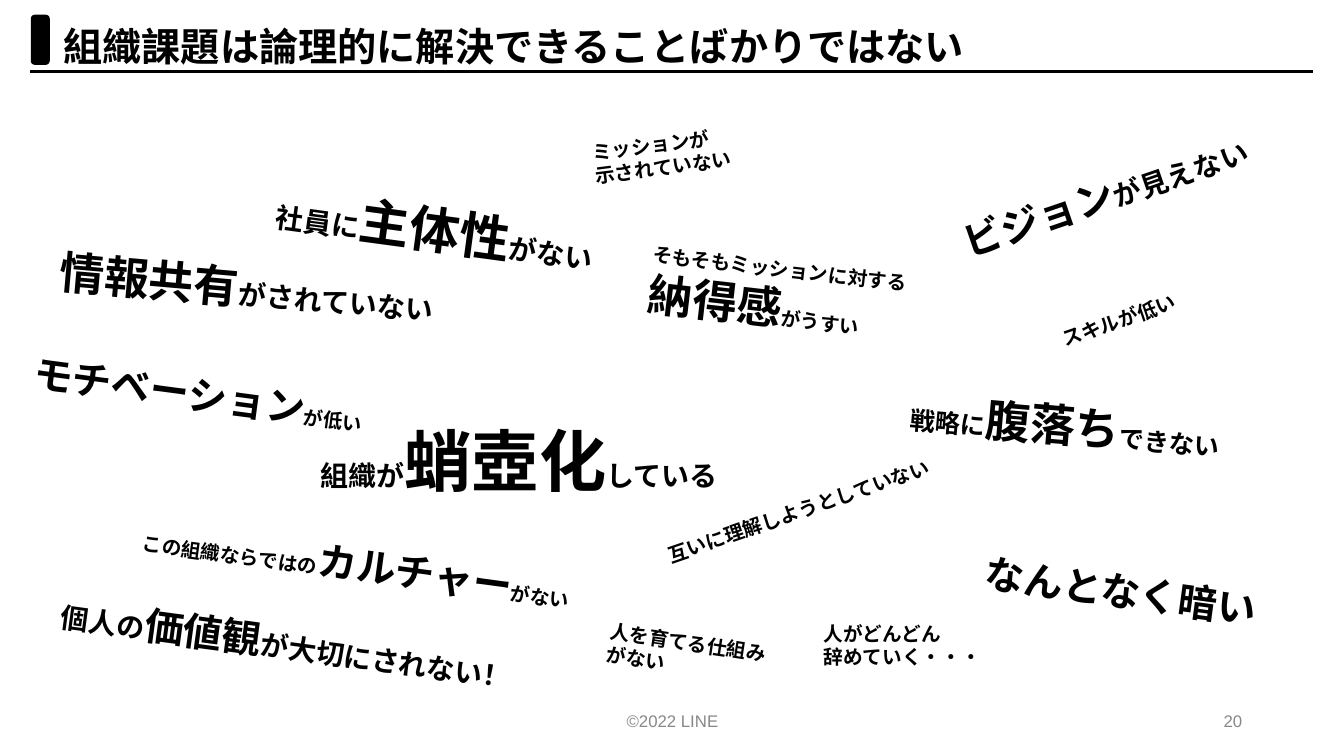
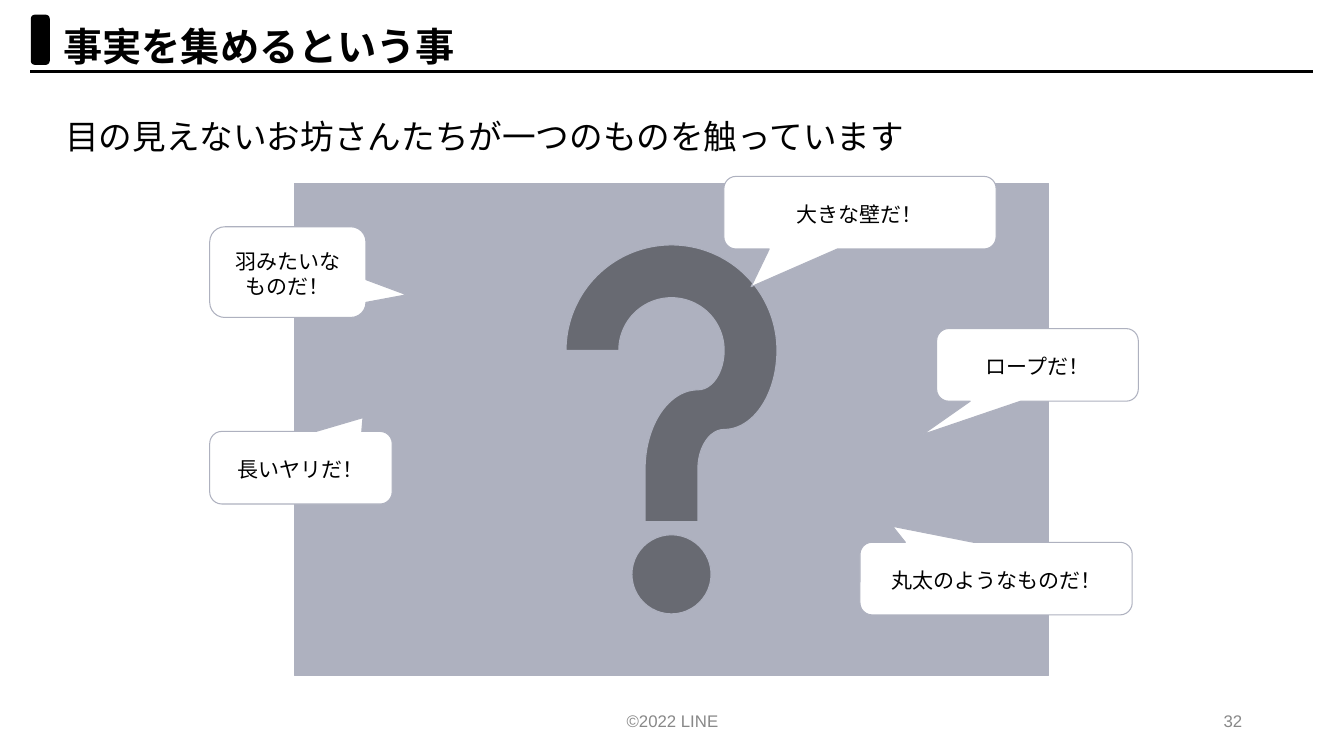
"""Build two slides on facts and feelings in organisations."""
from dataclasses import dataclass

from lxml import etree
from pptx import Presentation
from pptx.dml.color import RGBColor
from pptx.enum import shapes, text
from pptx.oxml import ns
from pptx.util import Inches, Pt

JAPANESE, LATIN = "Noto Sans CJK JP", "Arial"
BLACK, WHITE, GREY, MIST = "000000", "FFFFFF", "888888", "AEB1BF"
LINE_HEIGHT, DROP = 1.2, 0.08
LEFT, CENTER, RIGHT = text.PP_ALIGN.LEFT, text.PP_ALIGN.CENTER, text.PP_ALIGN.RIGHT
TOP, MIDDLE = text.MSO_ANCHOR.TOP, text.MSO_ANCHOR.MIDDLE

Line = tuple[tuple[str, float], ...]


@dataclass(frozen=True)
class Box:
    """Place of an object in inches."""
    left: float
    top: float
    width: float
    height: float

    def lengths(self) -> tuple:
        """Return the four lengths for python-pptx."""
        return tuple(map(Inches, (self.left, self.top, self.width, self.height)))


@dataclass(frozen=True)
class Phrase:
    """Tilted phrase, each line a row of (words, size) pairs."""
    box: Box
    angle: float
    lines: tuple[Line, ...]
    align: text.PP_ALIGN = LEFT


@dataclass(frozen=True)
class Voice:
    """Speech bubble with the offset of its tip."""
    box: Box
    tip: tuple[float, float]
    words: tuple[str, ...]


def color(value: str) -> RGBColor:
    """Turn a hex string into a colour."""
    return RGBColor.from_string(value)


def write(frame, lines: tuple[Line, ...], *, face: str = JAPANESE, ink: str = BLACK,
          bold: bool = False, align=LEFT, anchor=TOP) -> None:
    """Fill a text frame with evenly set lines."""
    frame.word_wrap = True
    frame.auto_size = text.MSO_AUTO_SIZE.NONE
    frame.vertical_anchor = anchor
    frame.margin_left = frame.margin_right = Inches(0.1)
    drop = DROP * max(size for _, size in lines[0]) / 72 if face == JAPANESE else 0
    frame.margin_top = Inches(0.05 + drop)
    frame.margin_bottom = Inches(max(0, 0.05 - drop))
    for index, line in enumerate(lines):
        paragraph = frame.add_paragraph() if index else frame.paragraphs[0]
        paragraph.alignment = align
        largest = max(size for _, size in line)
        if face == JAPANESE:
            paragraph.line_spacing = Pt(LINE_HEIGHT * largest)
        font = paragraph.font
        font.name, font.size, font.bold = face, Pt(largest), bold
        font.color.rgb = color(ink)
        defaults = paragraph._p.pPr.find(ns.qn("a:defRPr"))
        etree.SubElement(defaults, ns.qn("a:ea")).set("typeface", face)
        for words, size in line:
            run = paragraph.add_run()
            run.text = words
            if size != largest:
                run.font.size = Pt(size)


def add_text(slide, box: Box, lines: tuple[Line, ...], angle: float = 0, **style) -> None:
    """Add a text box."""
    area = slide.shapes.add_textbox(*box.lengths())
    area.rotation = angle
    write(area.text_frame, lines, **style)


def add_shape(slide, kind, box: Box, fill: str, outline: str, weight: float):
    """Add a flat preset shape."""
    shape = slide.shapes.add_shape(kind, *box.lengths())
    shape.shadow.inherit = False
    shape.fill.solid()
    shape.fill.fore_color.rgb = color(fill)
    shape.line.color.rgb = color(outline)
    shape.line.width = Pt(weight)
    return shape


def add_slide(deck, title: str, number: int):
    """Add a slide with its title, rule, marker and footer."""
    slide = deck.slides.add_slide(deck.slide_layouts[5])
    heading = slide.shapes.title
    heading.left, heading.top, heading.width, heading.height = Box(0.53, 0.14, 9.51, 0.57).lengths()
    write(heading.text_frame, (((title, 28),),), bold=True)
    rule = slide.shapes.add_connector(shapes.MSO_CONNECTOR.STRAIGHT, Inches(0.3), Inches(0.71),
                                      Inches(13.02), Inches(0.71))
    rule.line.color.rgb = color(BLACK)
    rule.line.width = Pt(2)
    etree.SubElement(rule._element.spPr, ns.qn("a:effectLst"))
    add_shape(slide, shapes.MSO_SHAPE.ROUNDED_RECTANGLE, Box(0.32, 0.16, 0.16, 0.47), BLACK, BLACK, 2)
    for left, width, words, align in ((4.42, 4.5, "©2022 LINE", CENTER), (9.42, 3, str(number), RIGHT)):
        add_text(slide, Box(left, 6.95, width, 0.4), (((words, 12),),),
                 face=LATIN, ink=GREY, align=align, anchor=MIDDLE)
    return slide


def add_voice(slide, voice: Voice) -> None:
    """Add a speech bubble."""
    bubble = add_shape(slide, shapes.MSO_SHAPE.ROUNDED_RECTANGULAR_CALLOUT, voice.box, WHITE, MIST, 0.75)
    bubble.adjustments[0], bubble.adjustments[1] = voice.tip
    write(bubble.text_frame, tuple(((words, 15),) for words in voice.words), align=CENTER, anchor=MIDDLE)


PHRASES = (
    Phrase(Box(5.79, 1.22, 1.95, 0.71), -7.2, ((("ミッションが", 14),), (("示されていない", 14),))),
    Phrase(Box(10.41, 2.93, 1.76, 0.4), -18.9, ((("スキルが低い", 14),),)),
    Phrase(Box(9.37, 1.56, 3.53, 0.57), -18.9, ((("ビジョン", 28), ("が見えない", 20)),)),
    Phrase(Box(2.55, 1.88, 3.55, 0.71), 7.7, ((("社員に", 20), ("主体性", 36), ("がない", 20)),), CENTER),
    Phrase(Box(1.31, 5.3, 4.73, 0.57), 7.7,
           ((("この組織ならではの", 14), ("カルチャー", 28), ("がない", 14)),)),
    Phrase(Box(0.49, 2.57, 5.61, 0.64), 5, ((("情報共有", 32), ("がされていない", 20)),)),
    Phrase(Box(9.67, 5.57, 3.25, 0.57), 7.7, ((("なんとなく暗い", 28),),)),
    Phrase(Box(6.45, 4.85, 3.14, 0.34), -19.1, ((("互いに理解しようとしていない", 14),),)),
    Phrase(Box(5.92, 6.19, 1.79, 0.71), 8.7, ((("人を育てる仕組みがない", 14),),)),
    Phrase(Box(0.49, 6.18, 6.44, 0.57), 7.7,
           ((("個人の", 20), ("価値観", 28), ("が大切にされない！", 20)),)),
    Phrase(Box(6.34, 2.49, 2.88, 0.88), 6.6,
           ((("そもそもミッションに対する", 14),), (("納得感", 32), ("がうすい", 14)))),
    Phrase(Box(3.08, 4.06, 5.12, 0.91), 0, ((("組織が", 20), ("蛸壺化", 48), ("している", 20)),)),
    Phrase(Box(0.23, 3.6, 3.54, 0.57), 7.7, ((("モチベーション", 28), ("が低い", 14)),)),
    Phrase(Box(8.07, 6.1, 2.35, 0.71), 0, ((("人がどんどん", 14),), (("辞めていく・・・", 14),))),
    Phrase(Box(8.93, 3.89, 3.81, 0.64), 5, ((("戦略に", 18), ("腹落ち", 32), ("できない", 18)),)),
)

VOICES = (
    Voice(Box(2.08, 2.25, 1.55, 0.9), (0.76, 0.25), ("羽みたいな", "ものだ！")),
    Voice(Box(2.08, 4.28, 1.81, 0.72), (0.34, -0.69), ("長いヤリだ！",)),
    Voice(Box(7.18, 1.75, 2.7, 0.72), (-0.4, 1.02), ("大きな壁だ！",)),
    Voice(Box(9.29, 3.26, 2, 0.72), (-0.57, 0.96), ("ロープだ！",)),
    Voice(Box(8.53, 5.38, 2.7, 0.72), (-0.38, -0.72), ("丸太のようなものだ！",)),
)


def main() -> None:
    """Build and save the deck."""
    deck = Presentation()
    deck.slide_width, deck.slide_height = Inches(13.33), Inches(7.5)

    troubles = add_slide(deck, "組織課題は論理的に解決できることばかりではない", 20)
    for phrase in PHRASES:
        add_text(troubles, phrase.box, phrase.lines, phrase.angle, bold=True, align=phrase.align)

    facts = add_slide(deck, "事実を集めるという事", 32)
    add_text(facts, Box(0.55, 1.07, 9.77, 0.5), ((("目の見えないお坊さんたちが一つのものを触っています", 24),),))
    add_shape(facts, shapes.MSO_SHAPE.ACTION_BUTTON_HELP, Box(2.92, 1.82, 7.48, 4.88), MIST, MIST, 0.75)
    for voice in VOICES:
        add_voice(facts, voice)

    deck.save("out.pptx")


if __name__ == "__main__":
    main()
